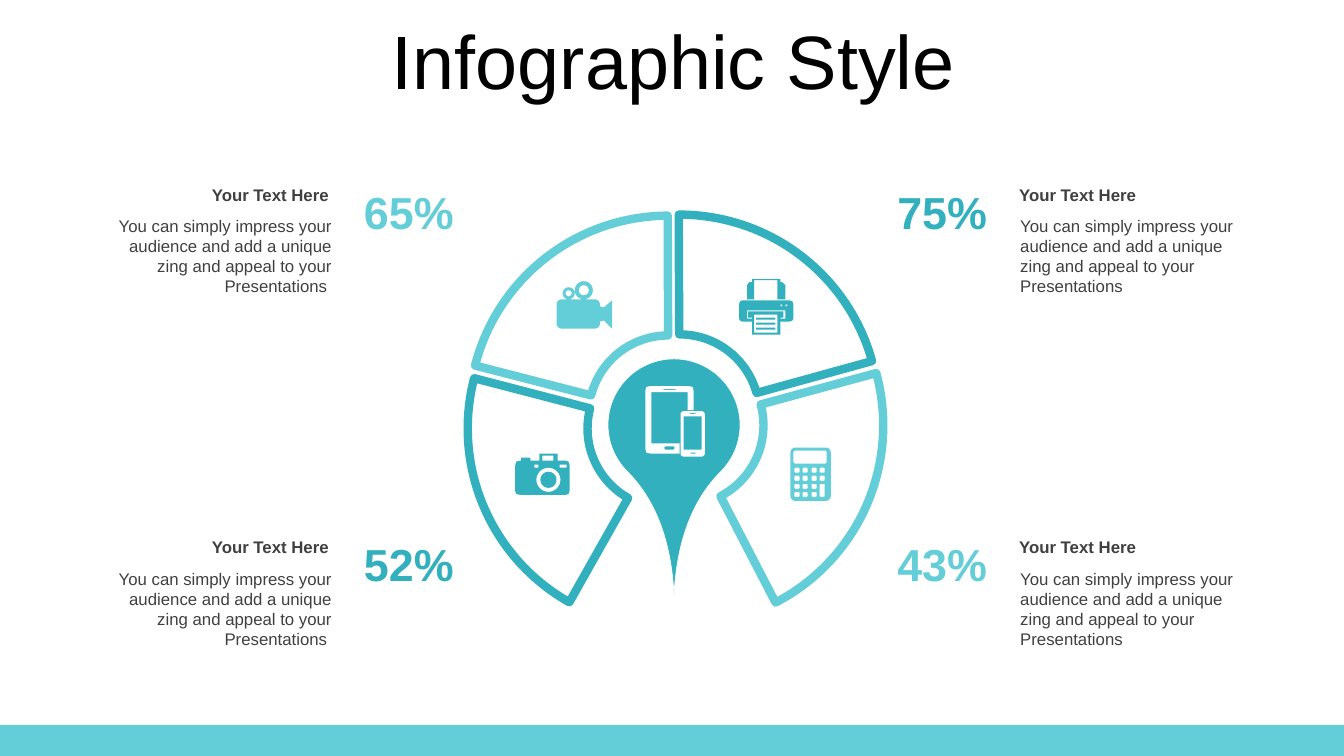
from dataclasses import dataclass
from math import cos, radians, sin

from lxml import etree
from pptx import Presentation
from pptx.dml.color import RGBColor
from pptx.enum.shapes import MSO_SHAPE
from pptx.enum.text import MSO_ANCHOR, PP_ALIGN
from pptx.oxml.ns import qn
from pptx.util import Inches, Pt

RECT, ARC, DROP = MSO_SHAPE.RECTANGLE, MSO_SHAPE.BLOCK_ARC, MSO_SHAPE.TEAR
LEFT, CENTER, RIGHT = PP_ALIGN.LEFT, PP_ALIGN.CENTER, PP_ALIGN.RIGHT
TOP, MIDDLE = MSO_ANCHOR.TOP, MSO_ANCHOR.MIDDLE
LIGHT, DARK, WHITE, GREY, BLACK = "64CED8", "32B0BE", "FFFFFF", "404040", "000000"
FONT = "Arial"
HEADING = "Your Text Here"
BODY = ("You can simply impress your audience and add a unique zing "
        "and appeal to your Presentations ")
ARC_SIZE = 3.96

Contour = list[tuple[float, float]]


@dataclass
class Segment:
    left: float
    top: float
    rotation: float
    start: float
    end: float
    color: str


@dataclass
class Callout:
    text_left: float
    percent_left: float
    top: float
    align: PP_ALIGN
    percent: str
    color: str


@dataclass
class Icon:
    color: str
    contours: list[Contour]


SEGMENTS = [
    Segment(4.65, 2.14, 0, 116.65, 161.88, LIGHT),
    Segment(4.76, 2.13, 75, 116.85, 161.74, DARK),
    Segment(4.8, 2.24, 153, 115.08, 161.74, LIGHT),
    Segment(4.64, 2.27, 285, 116.65, 161.74, DARK),
]
CALLOUTS = [
    Callout(10.01, 8.78, 1.78, LEFT, "75%", DARK),
    Callout(10.01, 8.78, 5.28, LEFT, "43%", LIGHT),
    Callout(0.99, 3.49, 1.78, RIGHT, "65%", LIGHT),
    Callout(0.99, 3.49, 5.28, RIGHT, "52%", DARK),
]


def rgb(color: str) -> RGBColor:
    return RGBColor.from_string(color)


def paint(s, fill: str, line: str | None = None, width: float = 0) -> None:
    s.shadow.inherit = False
    s.fill.solid()
    s.fill.fore_color.rgb = rgb(fill)
    if line:
        s.line.color.rgb = rgb(line)
        s.line.width = Pt(width)
    else:
        s.line.fill.background()


def add_shape(kind, left: float, top: float, width: float, height: float):
    return slide.shapes.add_shape(kind, Inches(left), Inches(top), Inches(width), Inches(height))


def add_text(text: str, left: float, top: float, width: float, height: float, size: float,
             color: str, align=LEFT, bold: bool = False, anchor=TOP):
    tf = slide.shapes.add_textbox(Inches(left), Inches(top), Inches(width), Inches(height)).text_frame
    tf.word_wrap = True
    tf.vertical_anchor = anchor
    p = tf.paragraphs[0]
    p.alignment = align
    r = p.add_run()
    r.text = text
    r.font.name, r.font.size, r.font.bold = FONT, Pt(size), bold
    r.font.color.rgb = rgb(color)
    return p


def outline_text(p, color: str) -> None:
    ln = etree.Element(qn("a:ln"), w=str(Pt(1)))
    fill = etree.SubElement(ln, qn("a:solidFill"))
    etree.SubElement(fill, qn("a:srgbClr"), val=color)
    p.runs[0].font._element.insert(0, ln)


def box(left: float, top: float, right: float, bottom: float, radius: float = 0) -> Contour:
    """Rectangle contour, with rounded corners if a radius is given."""
    if not radius:
        return [(left, top), (right, top), (right, bottom), (left, bottom)]
    corners = [(right - radius, bottom - radius), (left + radius, bottom - radius),
               (left + radius, top + radius), (right - radius, top + radius)]
    return [(x + radius * cos(radians(a)), y + radius * sin(radians(a)))
            for i, (x, y) in enumerate(corners)
            for a in range(90 * i, 90 * i + 91, 15)]


def circle(x: float, y: float, radius: float) -> Contour:
    return box(x - radius, y - radius, x + radius, y + radius, radius)


def draw_icon(icon: Icon) -> None:
    """One freeform; contours inside another contour become holes."""
    builder = None
    for contour in icon.contours:
        points = [(Inches(x), Inches(y)) for x, y in contour]
        if builder is None:
            builder = slide.shapes.build_freeform(*points[0])
        else:
            builder.move_to(*points[0])
        builder.add_line_segments(points[1:], close=True)
    paint(builder.convert_to_shape(), icon.color)


DEVICES = Icon(WHITE, [
    [(6.45, 3.83), (6.83, 3.83), (6.87, 3.84), (6.88, 3.88), (6.88, 4.07), (6.82, 4.07),
     (6.82, 3.89), (6.46, 3.89), (6.46, 4.4), (6.74, 4.4), (6.74, 4.5), (6.45, 4.5),
     (6.41, 4.49), (6.4, 4.45), (6.4, 3.88), (6.41, 3.84)],
    box(6.58, 3.86, 6.7, 3.87), box(6.59, 4.43, 6.69, 4.46, 0.01),
    box(6.75, 4.08, 6.99, 4.53, 0.03), box(6.78, 4.13, 6.96, 4.46),
    box(6.84, 4.1, 6.9, 4.11), box(6.85, 4.49, 6.9, 4.5),
])

# Calculator keys: four columns by four rows, the last key is two rows tall
KEY, PITCH = 0.05, 0.08
keys = [box(x, y, x + KEY, y + KEY + (PITCH if (col, row) == (3, 2) else 0), 0.01)
        for col in range(4) for row in range(4) if (col, row) != (3, 3)
        for x, y in [(7.88 + col * PITCH + 0.01 * (col > 1), 4.64 + row * PITCH)]]
CALCULATOR = Icon(LIGHT, [box(7.84, 4.44, 8.24, 4.97, 0.05),
                          box(7.87, 4.47, 8.2, 4.6, 0.02), *keys])

PRINTER = Icon(DARK, [
    [(7.46, 2.77), (7.74, 2.77), (7.74, 2.8), (7.76, 2.8), (7.79, 2.83), (7.79, 2.97),
     (7.71, 2.97), (7.71, 2.78), (7.48, 2.78), (7.48, 2.97), (7.41, 2.97), (7.41, 2.83),
     (7.43, 2.8), (7.46, 2.8)],
    [(7.36, 2.98), (7.83, 2.98), (7.86, 2.99), (7.87, 3.02), (7.87, 3.16), (7.86, 3.18),
     (7.83, 3.19), (7.74, 3.19), (7.74, 3.32), (7.46, 3.32), (7.46, 3.19), (7.36, 3.19),
     (7.34, 3.18), (7.33, 3.16), (7.33, 3.02), (7.34, 2.99)],
    [(7.41, 3.08), (7.79, 3.08), (7.79, 3.16), (7.74, 3.16), (7.74, 3.15), (7.77, 3.15),
     (7.77, 3.09), (7.42, 3.09), (7.42, 3.15), (7.46, 3.15), (7.46, 3.16), (7.41, 3.16)],
    circle(7.75, 3.03, 0.01), circle(7.8, 3.03, 0.01), box(7.48, 3.12, 7.71, 3.3),
    *[box(7.5, y, 7.69, y + 0.02) for y in (3.15, 3.2, 3.25)],
])

CAMERA = Icon(DARK, [
    [(5.35, 4.5), (5.53, 4.5), (5.53, 4.57), (5.61, 4.57), (5.64, 4.58), (5.65, 4.62),
     (5.65, 4.87), (5.64, 4.9), (5.61, 4.91), (5.16, 4.91), (5.12, 4.9), (5.11, 4.87),
     (5.11, 4.62), (5.12, 4.58), (5.16, 4.57), (5.17, 4.57), (5.17, 4.54), (5.26, 4.54),
     (5.26, 4.57), (5.35, 4.57)],
    circle(5.44, 4.76, 0.12), circle(5.44, 4.76, 0.08), box(5.3, 4.61, 5.34, 4.64),
    box(5.55, 4.61, 5.62, 4.64), box(5.38, 4.52, 5.49, 4.57),
])

MOVIE_CAMERA = Icon(LIGHT, [
    box(5.52, 2.97, 5.95, 3.26, 0.05),
    [(5.95, 3.04), (5.99, 3.05), (6.07, 2.98), (6.07, 3.26), (5.99, 3.18), (5.95, 3.19)],
    circle(5.79, 2.88, 0.09), circle(5.79, 2.88, 0.05),
    circle(5.64, 2.91, 0.06), circle(5.64, 2.91, 0.03),
])

prs = Presentation()
prs.slide_width, prs.slide_height = Inches(13.33), Inches(7.5)
slide = prs.slides.add_slide(prs.slide_layouts[6])

# Footer band and title
paint(add_shape(RECT, 0, 7.19, 13.33, 0.31), LIGHT)
title = add_text("Infographic Style", 0.35, 0.25, 12.66, 0.79, 54, BLACK, CENTER, anchor=MIDDLE)
title.line_spacing = 0.9
title.space_before = Pt(10)

# Ring segments
for seg in SEGMENTS:
    s = add_shape(ARC, seg.left, seg.top, ARC_SIZE, ARC_SIZE)
    s.rotation = seg.rotation
    for i, value in enumerate((seg.start, seg.end, 0.3)):
        s.adjustments[i] = value
    paint(s, WHITE, seg.color, 6)

# Central pin
pin = add_shape(DROP, 6.03, 3.56, 1.31, 1.31)
pin.rotation = 135
pin.adjustments[0] = 1.83
paint(pin, DARK, WHITE, 0.5)

# Callouts with percentages
for c in CALLOUTS:
    add_text(BODY, c.text_left + 0.01, c.top + 0.31, 2.39, 0.91, 12, GREY, c.align)
    add_text(HEADING, c.text_left, c.top, 2.37, 0.3, 12, GREY, c.align, bold=True)
    percent = add_text(c.percent, c.percent_left, c.top, 1.13, 0.64, 32, c.color, CENTER, bold=True)
    outline_text(percent, WHITE)

# Icons
for icon in (DEVICES, CALCULATOR, PRINTER, CAMERA, MOVIE_CAMERA):
    draw_icon(icon)

prs.save("out.pptx")
